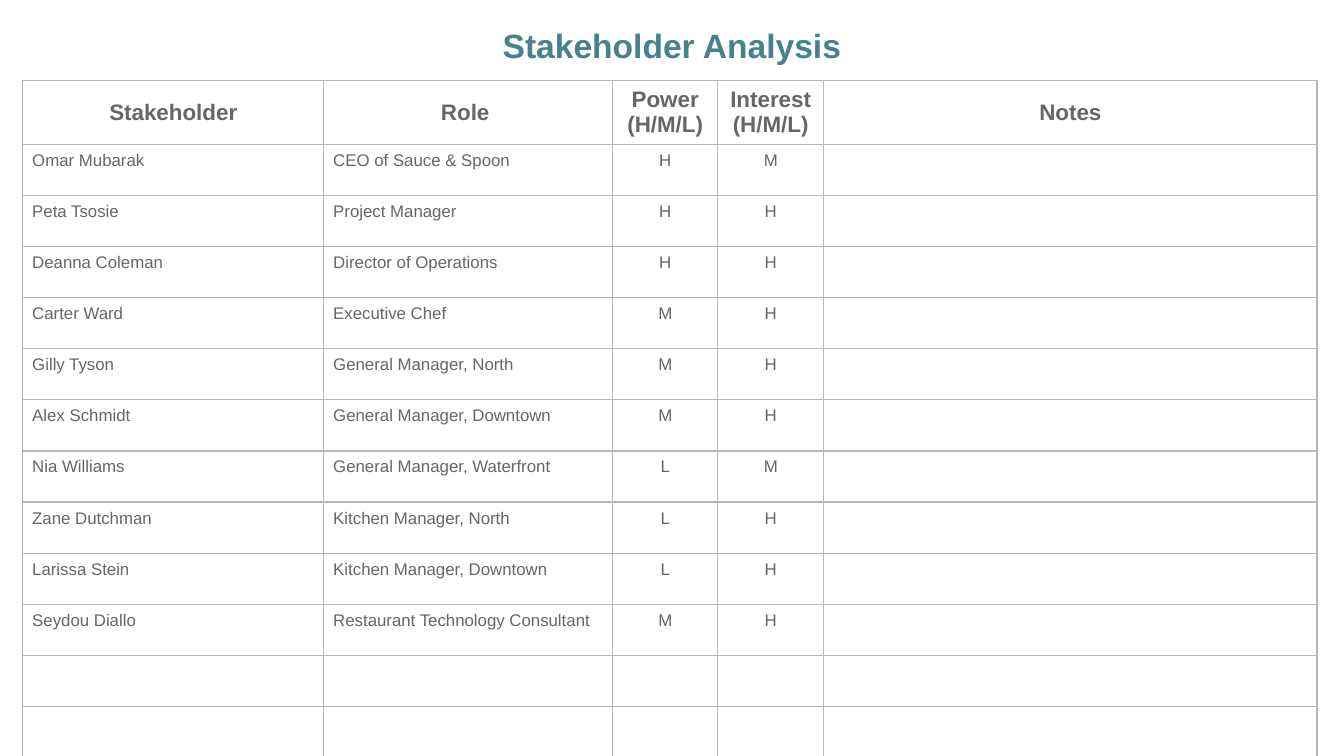
from lxml.etree import SubElement
from pptx import Presentation
from pptx.dml.color import RGBColor
from pptx.enum.text import MSO_ANCHOR, PP_ALIGN
from pptx.oxml.ns import qn
from pptx.util import Inches, Pt

TITLE = "Stakeholder Analysis"
HEADERS = ["Stakeholder", "Role ", "Power (H/M/L)", "Interest (H/M/L)", "Notes"]
STAKEHOLDERS = [
    ("Omar Mubarak", "CEO of Sauce & Spoon", "H", "M"),
    ("Peta Tsosie", "Project Manager", "H", "H"),
    ("Deanna Coleman", "Director of Operations", "H", "H"),
    ("Carter Ward", "Executive Chef", "M", "H"),
    ("Gilly Tyson", "General Manager, North", "M", "H"),
    ("Alex Schmidt", "General Manager, Downtown", "M", "H"),
    ("Nia Williams", "General Manager, Waterfront", "L", "M"),
    ("Zane Dutchman", "Kitchen Manager, North", "L", "H"),
    ("Larissa Stein", "Kitchen Manager, Downtown", "L", "H"),
    ("Seydou Diallo", "Restaurant Technology Consultant", "M", "H"),
]
SPARE_ROWS = 2
COLUMN_WIDTHS = [2.24, 2.15, 0.78, 0.79, 3.67]
RATING_COLUMNS = (2, 3)
HEADER_HEIGHT, ROW_HEIGHT = 0.28, 0.36
TEAL, GREY, BORDER = "45818E", "666666", "B7B7B7"
FONT = "Arial"


def style(paragraph, size, color, bold=False, centred=False):
    font = paragraph.font
    font.name, font.size, font.bold = FONT, Pt(size), bold
    font.color.rgb = RGBColor.from_string(color)
    paragraph.alignment = PP_ALIGN.CENTER if centred else PP_ALIGN.LEFT


def style_empty(paragraph, size):
    """Set the font that gives a paragraph without text its height."""
    end = SubElement(paragraph._p, qn("a:endParaRPr"), sz=str(size * 100))
    SubElement(end, qn("a:latin"), typeface=FONT)


def add_borders(cell, color, points):
    properties = cell._tc.get_or_add_tcPr()
    for position, side in enumerate(("a:lnL", "a:lnR", "a:lnT", "a:lnB")):
        line = SubElement(properties, qn(side), w=str(Pt(points)))
        fill = SubElement(line, qn("a:solidFill"))
        SubElement(fill, qn("a:srgbClr"), val=color)
        properties.insert(position, line)  # borders come before the fill


def fill_cell(cell, text, header, centred):
    cell.fill.background()
    add_borders(cell, BORDER, 0.75)
    cell.margin_left = cell.margin_right = Inches(0.07)
    cell.margin_top = cell.margin_bottom = Inches(0.05)
    cell.vertical_anchor = MSO_ANCHOR.MIDDLE if header else MSO_ANCHOR.TOP
    paragraph = cell.text_frame.paragraphs[0]
    if text:
        paragraph.text = text
        style(paragraph, 12 if header else 9, GREY, header, centred)
    else:
        style_empty(paragraph, 18)


def add_stakeholder_table(slide):
    rows = [HEADERS] + [(*person, "") for person in STAKEHOLDERS]
    rows += [[""] * len(HEADERS)] * SPARE_ROWS
    heights = [HEADER_HEIGHT] + [ROW_HEIGHT] * (len(rows) - 1)
    table = slide.shapes.add_table(
        len(rows), len(HEADERS), Inches(0.17), Inches(0.6),
        Inches(sum(COLUMN_WIDTHS)), Inches(sum(heights))).table
    table.first_row = table.horz_banding = False
    for column, width in zip(table.columns, COLUMN_WIDTHS):
        column.width = Inches(width)
    for r, (values, height) in enumerate(zip(rows, heights)):
        table.rows[r].height = Inches(height)
        for c, text in enumerate(values):
            header = r == 0
            fill_cell(table.cell(r, c), text, header, header or c in RATING_COLUMNS)


def add_title(slide):
    frame = slide.shapes.add_textbox(
        Inches(0.83), Inches(0.04), Inches(8.34), Inches(0.5)).text_frame
    frame.word_wrap = True
    frame.margin_left = frame.margin_right = Inches(0.1)
    frame.margin_top = frame.margin_bottom = Inches(0.1)
    heading = frame.paragraphs[0]
    heading.text = TITLE
    heading.line_spacing = 1.15
    style(heading, 18, TEAL, bold=True, centred=True)


def main():
    presentation = Presentation()
    presentation.slide_width = Inches(10)
    presentation.slide_height = Inches(10 * 9 / 16)
    slide = presentation.slides.add_slide(presentation.slide_layouts[6])
    add_stakeholder_table(slide)
    add_title(slide)
    presentation.save("out.pptx")


if __name__ == "__main__":
    main()
